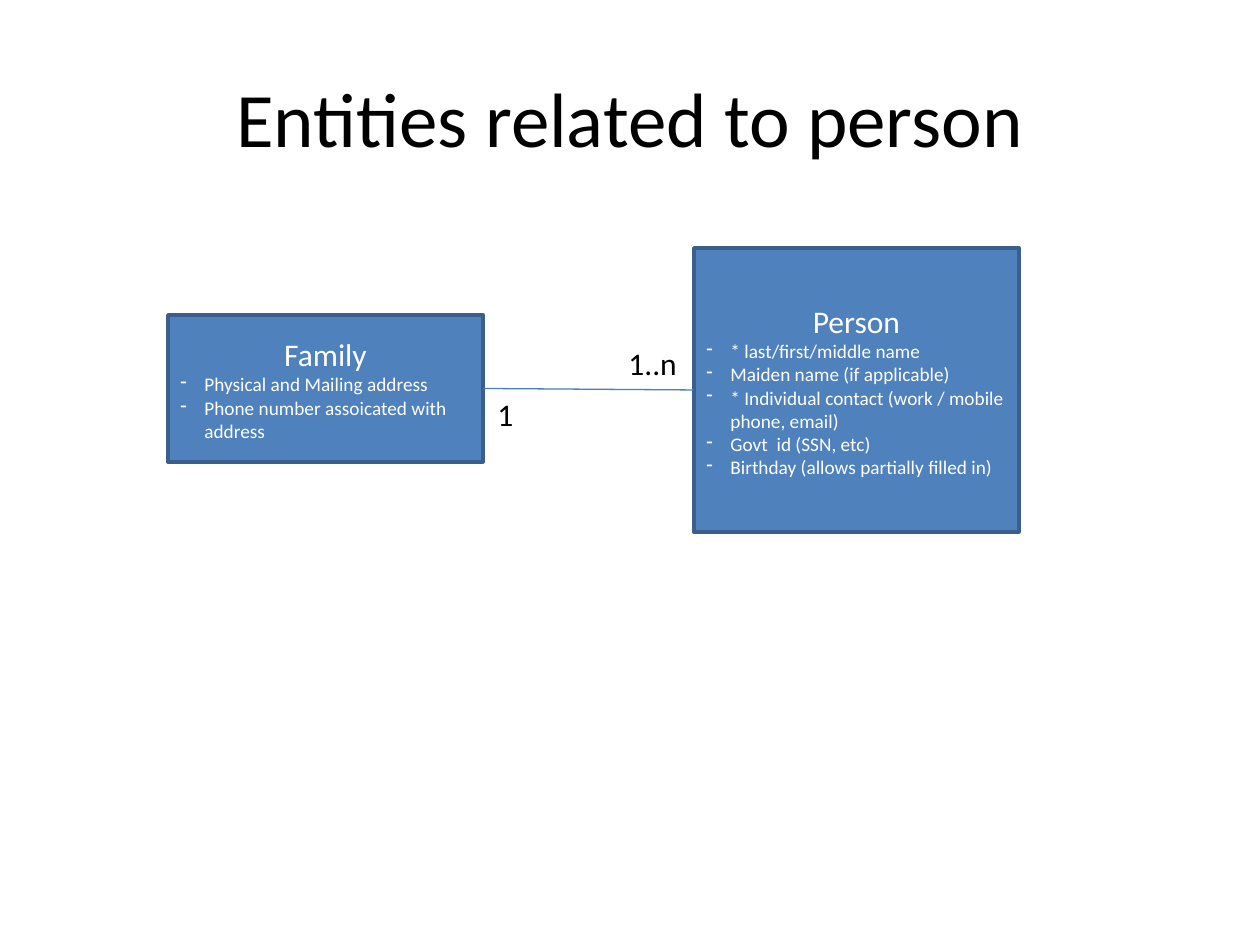
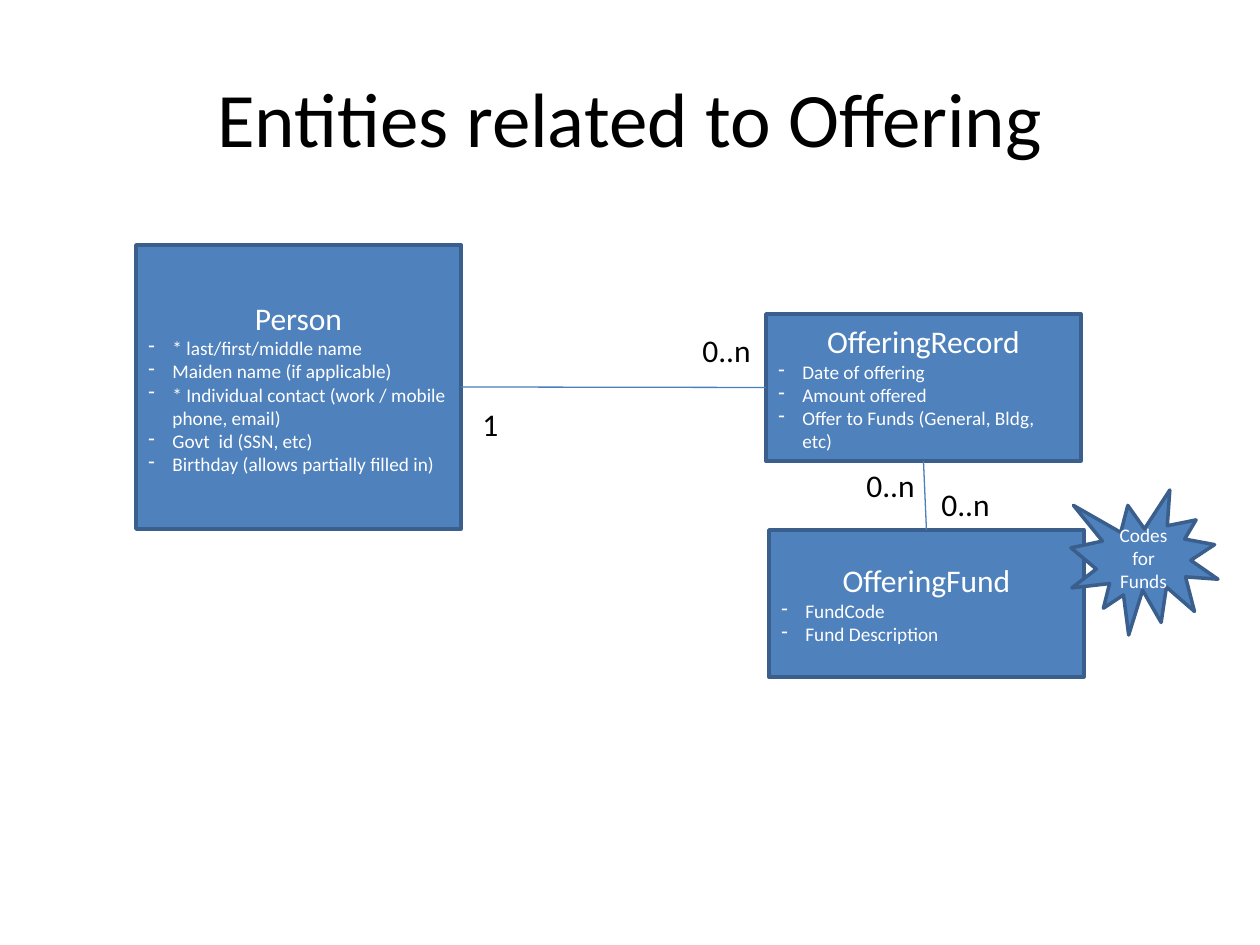
from lxml import etree
from pptx import Presentation
from pptx.dml.color import RGBColor
from pptx.enum.shapes import MSO_CONNECTOR, MSO_SHAPE
from pptx.enum.text import MSO_ANCHOR, MSO_AUTO_SIZE, PP_ALIGN
from pptx.oxml.ns import qn
from pptx.util import Pt

STRAIGHT = MSO_CONNECTOR.STRAIGHT
RECTANGLE, BURST = MSO_SHAPE.RECTANGLE, MSO_SHAPE.EXPLOSION1
MIDDLE, GROW = MSO_ANCHOR.MIDDLE, MSO_AUTO_SIZE.SHAPE_TO_FIT_TEXT
LEFT, CENTER = PP_ALIGN.LEFT, PP_ALIGN.CENTER

PX = 914400 // 126
BLACK = RGBColor(0x00, 0x00, 0x00)
WHITE = RGBColor(0xFF, 0xFF, 0xFF)
BOX_FILL = RGBColor(0x4F, 0x81, 0xBD)
BOX_LINE = RGBColor(0x3A, 0x5F, 0x8C)
LINK_LINE = RGBColor(0x4B, 0x7E, 0xBC)

TITLE_FONT = {"name": "Calibri", "size": Pt(44)}
HEADING_FONT = {"name": "Calibri", "size": Pt(18)}
DETAIL_FONT = {"name": "Calibri", "size": Pt(11)}

TITLE_PLACE = (63, 38, 1134, 158)
SMALL_BOX, PERSON_BOX = (315, 147), (325, 284)
BURST_BOX = (147, 145)
LABEL_HEIGHT = 50
BULLET_INDENT = 24 * PX
TOP, LEFT_SIDE, BOTTOM, RIGHT_SIDE = range(4)  # connection sites of a rectangle

PERSON_FIELDS = [
    "* last/first/middle name",
    "Maiden name (if applicable)",
    "* Individual contact (work / mobile phone, email)",
    "Govt  id (SSN, etc)",
    "Birthday (allows partially filled in)",
]

DIAGRAMS = [
    {
        "title": "Entities related to person",
        "entities": {
            "Family": ((168, 315), SMALL_BOX, [
                "Physical and Mailing address",
                "Phone number assoicated with address",
            ]),
            "Person": ((694, 248), PERSON_BOX, PERSON_FIELDS),
        },
        "links": [("Family", RIGHT_SIDE, "Person", LEFT_SIDE)],
        "labels": [("1", 485, 389, 42), ("1..n", 616, 338, 74)],
        "bursts": [],
    },
    {
        "title": "Entities related to Offering",
        "entities": {
            "OfferingRecord": ((766, 314), SMALL_BOX, [
                "Date of offering",
                "Amount offered",
                "Offer to Funds (General, Bldg, etc)",
            ]),
            "Person": ((136, 245), PERSON_BOX, PERSON_FIELDS),
            "OfferingFund": ((769, 530), SMALL_BOX, ["FundCode", "Fund Description"]),
        },
        "links": [
            ("Person", RIGHT_SIDE, "OfferingRecord", LEFT_SIDE),
            ("OfferingFund", TOP, "OfferingRecord", BOTTOM),
        ],
        "labels": [
            ("1", 470, 399, 42),
            ("0..n", 690, 325, 74),
            ("0..n", 854, 460, 74),
            ("0..n", 929, 479, 74),
        ],
        "bursts": [("Codes for Funds", (1071, 490))],
    },
]


def write(paragraph, text, font_values, color, align):
    """Put one formatted run into a paragraph."""
    paragraph.alignment = align
    run = paragraph.add_run()
    run.text = text
    for attribute, value in font_values.items():
        setattr(run.font, attribute, value)
    run.font.color.rgb = color


def add_box(slide, preset, position, size):
    """Add a filled, outlined shape and return it."""
    box = slide.shapes.add_shape(preset, *(n * PX for n in position + size))
    box.shadow.inherit = False
    box.fill.solid()
    box.fill.fore_color.rgb = BOX_FILL
    box.line.color.rgb = BOX_LINE
    box.line.width = Pt(2)
    box.text_frame.word_wrap = True
    box.text_frame.vertical_anchor = MIDDLE
    return box


deck = Presentation()
deck.slide_width, deck.slide_height = 1260 * PX, 945 * PX
title_only = deck.slide_layouts[5]

for diagram in DIAGRAMS:
    slide = deck.slides.add_slide(title_only)
    title = slide.shapes.title
    title.left, title.top, title.width, title.height = (n * PX for n in TITLE_PLACE)
    title.text_frame.vertical_anchor = MIDDLE
    write(title.text_frame.paragraphs[0], diagram["title"], TITLE_FONT, BLACK, CENTER)

    entity_boxes = {}
    for entity, (position, size, fields) in diagram["entities"].items():
        box = add_box(slide, RECTANGLE, position, size)
        write(box.text_frame.paragraphs[0], entity, HEADING_FONT, WHITE, CENTER)
        for field in fields:
            paragraph = box.text_frame.add_paragraph()
            write(paragraph, field, DETAIL_FONT, WHITE, LEFT)
            properties = paragraph._p.get_or_add_pPr()
            properties.set("marL", str(BULLET_INDENT))
            properties.set("indent", str(-BULLET_INDENT))
            etree.SubElement(properties, qn("a:buFontTx"))
            etree.SubElement(properties, qn("a:buChar")).set("char", "-")
        entity_boxes[entity] = box

    for start, start_site, end, end_site in diagram["links"]:
        link = slide.shapes.add_connector(STRAIGHT, 0, 0, 0, 0)
        link.begin_connect(entity_boxes[start], start_site)
        link.end_connect(entity_boxes[end], end_site)
        link.line.color.rgb = LINK_LINE
        link.line.width = Pt(0.75)
        etree.SubElement(link._element.spPr, qn("a:effectLst"))

    for multiplicity, left, top, width in diagram["labels"]:
        label = slide.shapes.add_textbox(left * PX, top * PX, width * PX, LABEL_HEIGHT * PX)
        label.text_frame.word_wrap = False
        label.text_frame.auto_size = GROW
        write(label.text_frame.paragraphs[0], multiplicity, HEADING_FONT, BLACK, LEFT)

    for remark, position in diagram["bursts"]:
        burst = add_box(slide, BURST, position, BURST_BOX)
        write(burst.text_frame.paragraphs[0], remark, DETAIL_FONT, WHITE, CENTER)

deck.save("out.pptx")
